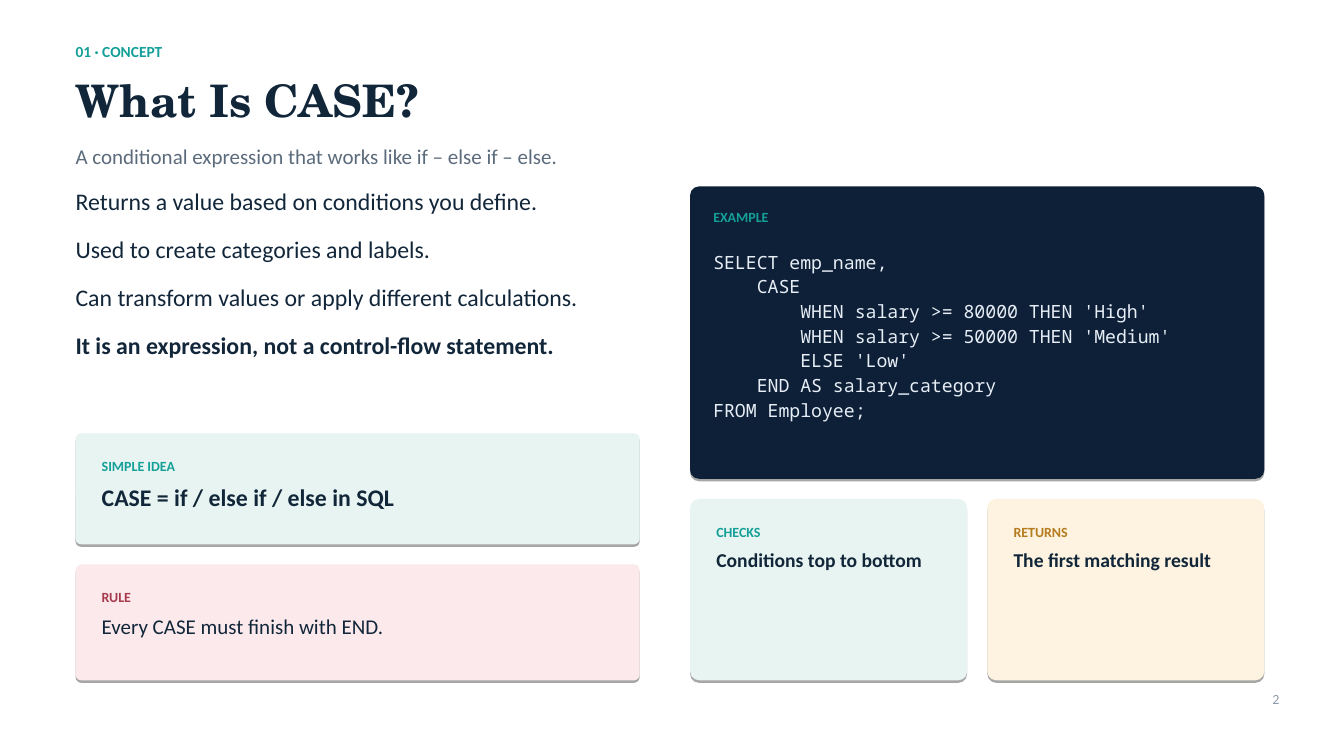
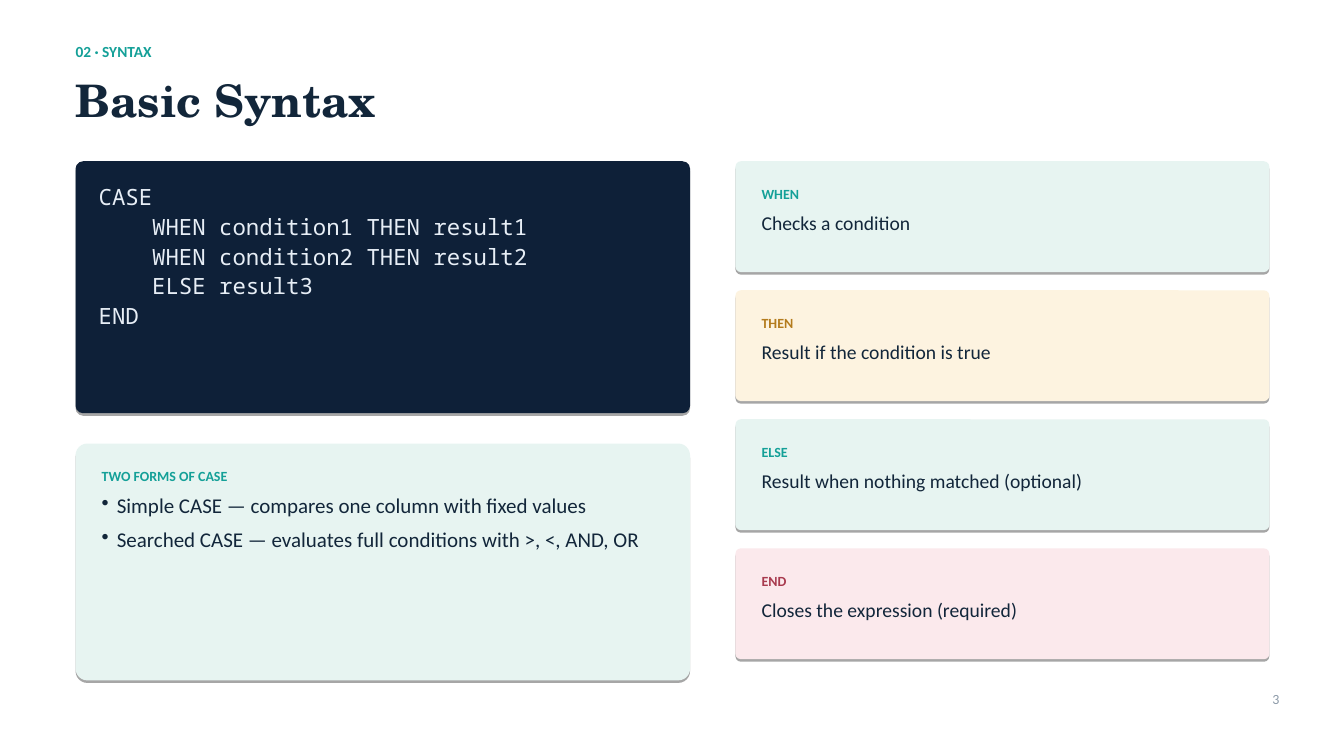
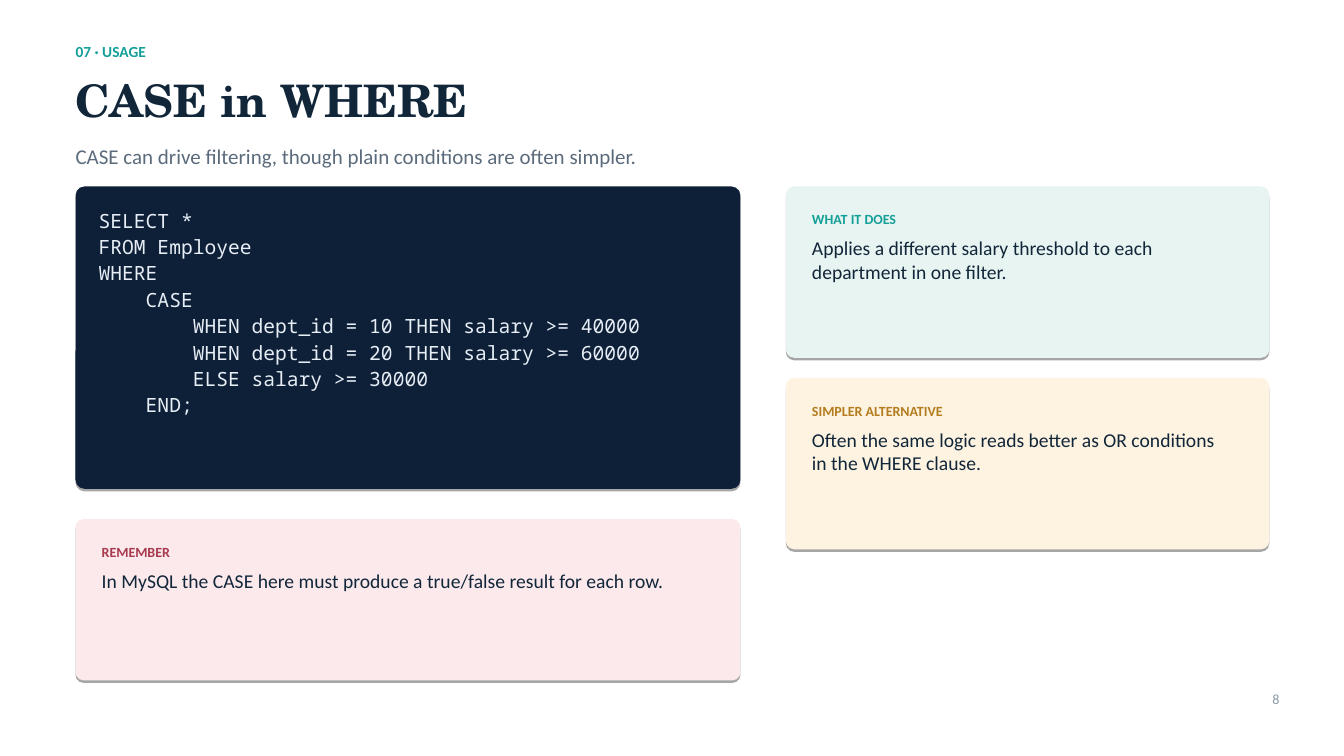
import pptx
import pptx.dml.color
import pptx.enum.shapes
import pptx.enum.text
import pptx.oxml
import pptx.oxml.ns
import pptx.util

COLORS = {
    "paper": "FFFFFF", "ink": "12263A", "muted": "5B6B7C", "page": "8C9AA8",
    "teal": "14A098", "amber": "B47C1E", "red": "A83A4E",
    "mint": "E7F4F1", "cream": "FDF3E0", "rose": "FBE9EC",
    "navy": "0E2038", "code": "E7EEF6",
}
# Card tone: fill and label colour
TONES = {"idea": ("mint", "teal"), "result": ("cream", "amber"), "warning": ("rose", "red")}
BODY, HEADING, MONO = "Calibri", "TeX Gyre Schola", "Noto Sans Mono"

CELL = 0.05            # side of a grid cell in inches
LEFT, BOTTOM = 15, 135  # left margin and lower edge of the content, in cells
CARD_INSETS = (3.6, 2.4, 3.6, 2.4)


def cells(count):
    return pptx.util.Inches(count * CELL)


def rgb(name):
    return pptx.dml.color.RGBColor.from_string(COLORS[name])


class Deck:
    """Holds the shared style and the slide being filled; lengths are grid cells."""

    def __init__(self):
        self.show = pptx.Presentation()
        self.show.slide_width = pptx.util.Inches(13.34)
        self.show.slide_height = pptx.util.Inches(7.5)
        self.slide = None

    def start(self, number, section, heading, summary=None):
        """Begin a slide with its section line, title, summary and page number."""
        self.slide = self.show.slides.add_slide(self.show.slide_layouts[5])
        self.slide.background.fill.solid()
        self.slide.background.fill.fore_color.rgb = rgb("paper")
        title = self.slide.shapes.title
        title.left, title.top, title.width, title.height = map(cells, (LEFT, 14.4, 238, 10.6))
        self.set_frame(title.text_frame)
        self.add_line(title.text_frame, heading, 32, "ink", bold=True, font=HEADING)
        self.text((LEFT, 8.4, 238, 3.6), [section], 11, "teal", bold=True)
        if summary:
            self.text((LEFT, 28.4, 220, 5), [summary], 15, "muted")
        self.text((244, 137, 10, 3.4), [str(number)], 10, "page",
                  align=pptx.enum.text.PP_ALIGN.RIGHT)

    def set_frame(self, frame, insets=(0, 0, 0, 0)):
        frame.word_wrap = True
        frame.auto_size = pptx.enum.text.MSO_AUTO_SIZE.SHAPE_TO_FIT_TEXT
        frame.vertical_anchor = pptx.enum.text.MSO_ANCHOR.TOP
        (frame.margin_left, frame.margin_top,
         frame.margin_right, frame.margin_bottom) = map(cells, insets)

    def add_line(self, frame, words, size, color, bold=False, font=BODY, after=0,
                 align=pptx.enum.text.PP_ALIGN.LEFT, bullet=False):
        """Add one paragraph, using the empty first one if it is still free."""
        first = frame.paragraphs[0]
        paragraph = frame.add_paragraph() if first.runs else first
        paragraph.alignment = align
        paragraph.space_before = pptx.util.Pt(0)
        paragraph.space_after = pptx.util.Pt(after)
        if bullet:
            properties = paragraph._p.get_or_add_pPr()
            properties.set("marL", str(cells(3)))
            properties.set("indent", str(-cells(3)))
            properties.append(pptx.oxml.parse_xml(
                f'<a:buChar {pptx.oxml.ns.nsdecls("a")} char="•"/>'))
        run = paragraph.add_run()
        run.text = words
        run.font.name, run.font.size, run.font.bold = font, pptx.util.Pt(size), bold
        run.font.color.rgb = rgb(color)

    def text(self, box, lines, size, color, insets=(0, 0, 0, 0), **style):
        frame = self.slide.shapes.add_textbox(*map(cells, box)).text_frame
        self.set_frame(frame, insets)
        for line in lines:
            self.add_line(frame, line, size, color, **style)
        return frame

    def panel(self, box, fill, corner):
        """Rounded panel with a thin hard shadow below it."""
        panel = self.slide.shapes.add_shape(
            pptx.enum.shapes.MSO_SHAPE.ROUNDED_RECTANGLE, *map(cells, box))
        panel.adjustments[0] = corner
        panel.fill.solid()
        panel.fill.fore_color.rgb = rgb(fill)
        panel.line.fill.background()
        panel.shadow.inherit = False
        effects = panel._element.spPr.find(pptx.oxml.ns.qn("a:effectLst"))
        effects.append(pptx.oxml.parse_xml(
            f'<a:outerShdw {pptx.oxml.ns.nsdecls("a")} blurRad="0" dist="{pptx.util.Pt(1.8)}" '
            'dir="5400000" rotWithShape="0"><a:srgbClr val="000000">'
            '<a:alpha val="35000"/></a:srgbClr></a:outerShdw>'))

    def card(self, box, tone, label, lines, size=14, bold=False, bullet=False):
        fill, accent = TONES[tone]
        left, top, width, _ = box
        self.panel(box, fill, 0.05)
        # Insets and label, then a gap and a line of text for each entry
        height = 8.2 + len(lines) * (1.7 + size * 0.34)
        frame = self.text((left + 1.6, top + 2.4, width - 6, height), [label], 10, accent,
                          CARD_INSETS, bold=True, after=6)
        for line in lines:
            self.add_line(frame, line, size, "ink", bold=bold, after=6, bullet=bullet)

    def code(self, box, listing, size, label=None):
        left, top, width, _ = box
        self.panel(box, "navy", 0.03)
        if label:
            self.text((left + 1, top + 2.8, width, 6.8), [label], 10, "teal",
                      (3.6, 1.6, 3.6, 1.6), bold=True)
        lines = listing.strip("\n").split("\n")
        height = 4.8 + len(lines) * (0.6 + size * 0.33)
        self.text((left + 1, top + (10.4 if label else 2), width - 4, height), lines, size,
                  "code", CARD_INSETS, font=MONO, after=2)


def concept(deck):
    deck.start(2, "01 · CONCEPT", "What Is CASE?",
               "A conditional expression that works like if – else if – else.")
    # Key points
    points = deck.text((LEFT, 37, 112, 37), [
        "Returns a value based on conditions you define.",
        "Used to create categories and labels.",
        "Can transform values or apply different calculations.",
    ], 17, "ink", (0, 0, 3.6, 2.4), after=14)
    deck.add_line(points, "It is an expression, not a control-flow statement.", 17, "ink",
                  bold=True, after=14)
    # Idea and rule
    deck.card((LEFT, 86, 112, 22), "idea", "SIMPLE IDEA",
              ["CASE = if / else if / else in SQL"], size=17, bold=True)
    deck.card((LEFT, 112, 112, BOTTOM - 112), "warning", "RULE",
              ["Every CASE must finish with END."], size=15)
    # Example and how it is read
    deck.code((137, 37, 114, 58), """
SELECT emp_name,
    CASE
        WHEN salary >= 80000 THEN 'High'
        WHEN salary >= 50000 THEN 'Medium'
        ELSE 'Low'
    END AS salary_category
FROM Employee;
""", 13, label="EXAMPLE")
    steps = [("idea", "CHECKS", "Conditions top to bottom"),
             ("result", "RETURNS", "The first matching result")]
    width, gap = 55, 4
    for column, (tone, label, words) in enumerate(steps):
        deck.card((137 + column * (width + gap), 99, width, BOTTOM - 99), tone, label,
                  [words], bold=True)


def syntax(deck):
    deck.start(3, "02 · SYNTAX", "Basic Syntax")
    deck.code((LEFT, 32, 122, 50), """
CASE
    WHEN condition1 THEN result1
    WHEN condition2 THEN result2
    ELSE result3
END
""", 16)
    # One card per keyword
    keywords = [("idea", "WHEN", "Checks a condition"),
                ("result", "THEN", "Result if the condition is true"),
                ("idea", "ELSE", "Result when nothing matched (optional)"),
                ("warning", "END", "Closes the expression (required)")]
    height, gap = 22, 3.6
    for row, (tone, label, words) in enumerate(keywords):
        deck.card((146, 32 + row * (height + gap), 106, height), tone, label, [words])
    # The two forms
    deck.card((LEFT, 88, 122, BOTTOM - 88), "idea", "TWO FORMS OF CASE", [
        "Simple CASE — compares one column with fixed values",
        "Searched CASE — evaluates full conditions with >, <, AND, OR",
    ], size=15, bullet=True)


def usage(deck):
    deck.start(8, "07 · USAGE", "CASE in WHERE",
               "CASE can drive filtering, though plain conditions are often simpler.")
    deck.code((LEFT, 37, 132, 60), """
SELECT *
FROM Employee
WHERE
    CASE
        WHEN dept_id = 10 THEN salary >= 40000
        WHEN dept_id = 20 THEN salary >= 60000
        ELSE salary >= 30000
    END;
""", 14)
    # Explanation and alternative
    remarks = [("idea", "WHAT IT DOES",
                "Applies a different salary threshold to each department in one filter."),
               ("result", "SIMPLER ALTERNATIVE",
                "Often the same logic reads better as OR conditions in the WHERE clause.")]
    height, gap = 34, 4
    for row, (tone, label, words) in enumerate(remarks):
        deck.card((156, 37 + row * (height + gap), 96, height), tone, label, [words])
    deck.card((LEFT, 103, 132, BOTTOM - 103), "warning", "REMEMBER",
              ["In MySQL the CASE here must produce a true/false result for each row."])


def main():
    deck = Deck()
    for build in (concept, syntax, usage):
        build(deck)
    deck.show.save("out.pptx")


if __name__ == "__main__":
    main()
